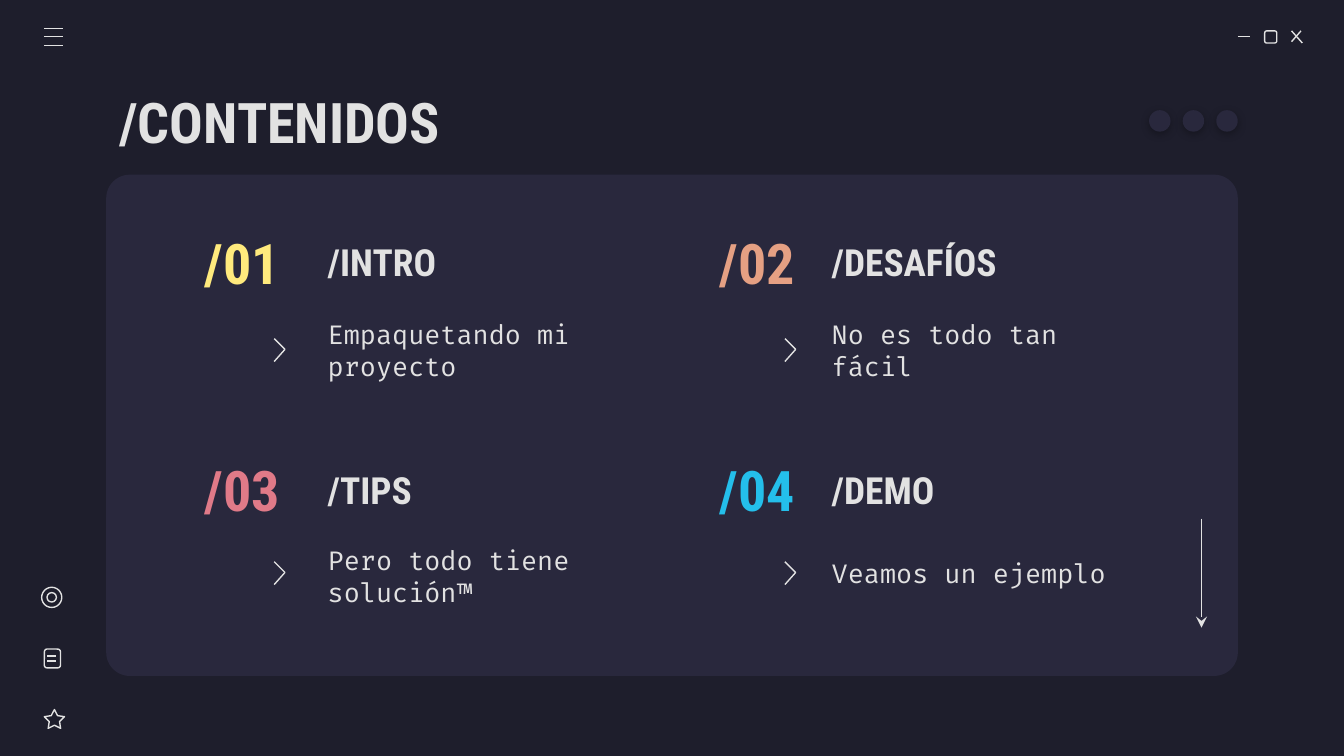
from lxml.etree import SubElement
from pptx import Presentation
from pptx.dml.color import RGBColor
from pptx.enum.shapes import MSO_CONNECTOR, MSO_SHAPE
from pptx.enum.text import MSO_ANCHOR, PP_ALIGN
from pptx.oxml.ns import qn
from pptx.util import Inches, Pt

SLIDE_WIDTH = 10
SLIDE_HEIGHT = SLIDE_WIDTH * 9 / 16

NIGHT = RGBColor(0x1E, 0x1E, 0x2C)
PANEL = RGBColor(0x29, 0x28, 0x3D)
LIGHT = RGBColor(0xE2, 0xE2, 0xE2)
YELLOW = RGBColor(0xFF, 0xEA, 0x7D)
ORANGE = RGBColor(0xE5, 0xA0, 0x83)
PINK = RGBColor(0xE0, 0x7A, 0x88)
BLUE = RGBColor(0x24, 0xBF, 0xEB)
HEADING_FONT = "Roboto Condensed"
BODY_FONT = "Fira Code"

HEADING = "/CONTENIDOS"
TOPICS = [
    ("/01", YELLOW, "/INTRO", "Empaquetando mi proyecto", 2.23),
    ("/02", ORANGE, "/DESAFÍOS", "No es todo tan fácil", 2.23),
    ("/03", PINK, "/TIPS", "Pero todo tiene solución™", 3.91),
    ("/04", BLUE, "/DEMO", "Veamos un ejemplo", 3.89),
]
COLUMNS = [
    {"number": 1.35, "chevron": 2.04, "topic": 2.34},
    {"number": 5.18, "chevron": 5.84, "topic": 6.09},
]
ROWS = [{"title": 1.67, "chevron": 2.52}, {"title": 3.36, "chevron": 4.18}]

WINDOW_LINES = [
    (9.21, 0.27, 9.3, 0.27),
    (9.61, 0.23, 9.69, 0.32),
    (9.68, 0.23, 9.61, 0.31),
]
MENU_LINES = [(0.33, y, 0.47, y) for y in (0.21, 0.27, 0.34)]
NOTE_LINES = [(0.35, y, 0.42, y) for y in (4.88, 4.92)]
OUTLINE_ICONS = [
    (MSO_SHAPE.ROUNDED_RECTANGLE, (9.41, 0.23, 0.09, 0.09), 0.167),
    (MSO_SHAPE.STAR_5_POINT, (0.33, 5.28, 0.15, 0.14), 0.254),
    (MSO_SHAPE.ROUNDED_RECTANGLE, (0.33, 4.83, 0.12, 0.14), 0.167),
    (MSO_SHAPE.OVAL, (0.31, 4.37, 0.15, 0.15), None),
    (MSO_SHAPE.OVAL, (0.35, 4.41, 0.07, 0.07), None),
]
SCROLL_ARROW = (8.94, 3.86, 8.94, 4.67)
DOT_LEFT, DOT_TOP, DOT_SIZE, DOT_STEP = 8.55, 0.82, 0.16, 0.25


def add_text(slide, text, box, *, size, font=HEADING_FONT, color=LIGHT,
             bold=True, align=PP_ALIGN.LEFT):
    frame = slide.shapes.add_textbox(*map(Inches, box)).text_frame
    frame.word_wrap = True
    frame.vertical_anchor = MSO_ANCHOR.MIDDLE
    frame.margin_left = frame.margin_right = Inches(0.1)
    frame.margin_top = frame.margin_bottom = Inches(0.1)
    paragraph = frame.paragraphs[0]
    paragraph.alignment = align
    run = paragraph.add_run()
    run.text = text
    run.font.name = font
    run.font.size = Pt(size)
    run.font.bold = bold
    run.font.color.rgb = color


def style_outline(shape):
    shape.shadow.inherit = False
    shape.fill.background()
    shape.line.color.rgb = LIGHT
    shape.line.width = Pt(0.75)


def add_shape(slide, kind, box, adjustment=None, fill=None):
    shape = slide.shapes.add_shape(kind, *map(Inches, box))
    if adjustment is not None:
        shape.adjustments[0] = adjustment
    style_outline(shape)
    if fill is not None:
        shape.fill.solid()
        shape.fill.fore_color.rgb = fill
        shape.line.fill.background()
    return shape


def add_line(slide, ends):
    line = slide.shapes.add_connector(MSO_CONNECTOR.STRAIGHT, *map(Inches, ends))
    line.line.color.rgb = LIGHT
    line.line.width = Pt(0.75)
    SubElement(line.element.spPr, qn("a:effectLst"))
    return line


def add_chevron(slide, left, top):
    builder = slide.shapes.build_freeform(Inches(left), Inches(top))
    points = [(left + 0.08, top + 0.08), (left, top + 0.17)]
    builder.add_line_segments([(Inches(x), Inches(y)) for x, y in points], close=False)
    style_outline(builder.convert_to_shape())


def add_soft_shadow(shape):
    effects = shape.element.spPr.find(qn("a:effectLst"))
    shadow = SubElement(effects, qn("a:outerShdw"), blurRad=str(Pt(4.5)),
                        dist=str(Pt(1.5)), dir="5400000", algn="bl", rotWithShape="0")
    color = SubElement(shadow, qn("a:srgbClr"), val="000000")
    SubElement(color, qn("a:alpha"), val="30000")


def main():
    deck = Presentation()
    deck.slide_width, deck.slide_height = Inches(SLIDE_WIDTH), Inches(SLIDE_HEIGHT)
    slide = deck.slides.add_slide(deck.slide_layouts[6])
    slide.background.fill.solid()
    slide.background.fill.fore_color.rgb = NIGHT

    add_shape(slide, MSO_SHAPE.ROUNDED_RECTANGLE, (0.79, 1.3, 8.42, 3.73), 0.047, PANEL)
    add_text(slide, HEADING, (0.79, 0.59, 8.43, 0.63), size=30)

    for index, (number, color, title, summary, summary_top) in enumerate(TOPICS):
        row, column = ROWS[index // 2], COLUMNS[index % 2]
        add_text(slide, title, (column["topic"], row["title"], 2.56, 0.56), size=20)
        add_text(slide, number, (column["number"], row["title"], 0.91, 0.56),
                 size=30, color=color, align=PP_ALIGN.CENTER)
        add_text(slide, summary, (column["topic"], summary_top, 2.56, 0.75),
                 size=14, font=BODY_FONT, bold=False)
        add_chevron(slide, column["chevron"], row["chevron"])

    for kind, box, adjustment in OUTLINE_ICONS:
        add_shape(slide, kind, box, adjustment)
    for ends in WINDOW_LINES + MENU_LINES + NOTE_LINES:
        add_line(slide, ends)

    arrow = add_line(slide, SCROLL_ARROW)
    SubElement(arrow.line._get_or_add_ln(), qn("a:tailEnd"), type="stealth")

    for index in range(3):
        left = DOT_LEFT + index * DOT_STEP
        dot = add_shape(slide, MSO_SHAPE.OVAL, (left, DOT_TOP, DOT_SIZE, DOT_SIZE), fill=PANEL)
        add_soft_shadow(dot)

    deck.save("out.pptx")


if __name__ == "__main__":
    main()
